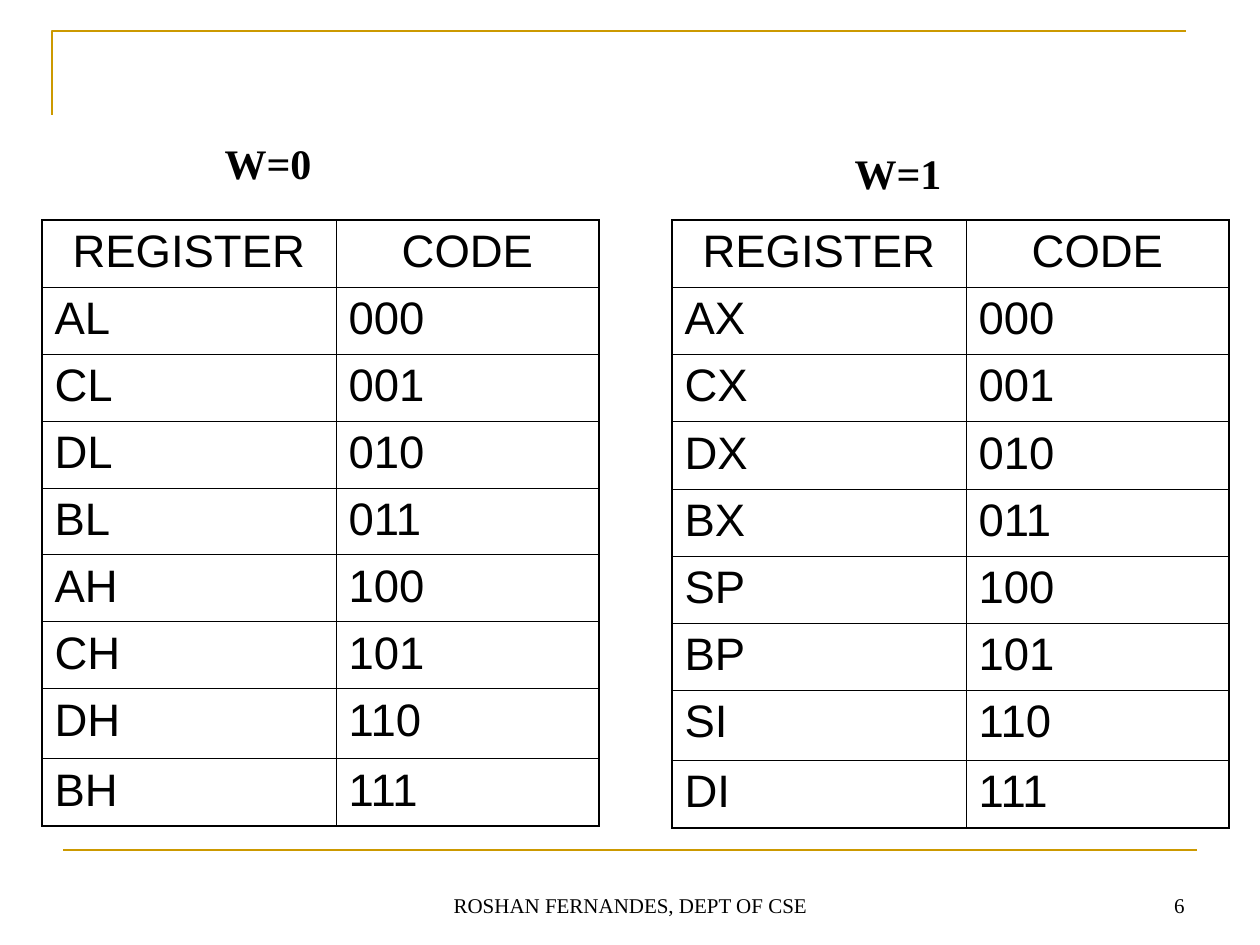
from lxml import etree
from pptx import Presentation
from pptx import util as u
from pptx.dml.color import RGBColor
from pptx.enum import shapes, text
from pptx.oxml.ns import qn

# Content
HEADER = ("REGISTER", "CODE")
CODES = [format(number, "03b") for number in range(8)]
REGISTER_SETS = [
    # left, label, label top, registers
    (42, "W=0", 126, ["AL", "CL", "DL", "BL", "AH", "CH", "DH", "BH"]),
    (672, "W=1", 136, ["AX", "CX", "DX", "BX", "SP", "BP", "SI", "DI"]),
]
FOOTER = "ROSHAN FERNANDES, DEPT OF CSE"
PAGE = "6"

# Layout in px
WIDTH, HEIGHT = 1260, 945
TABLE_TOP = 220
COLUMNS = (294, 263)
ROWS = [67] * 7 + [70, 67]
GOLD, BLACK = "CC9900", "000000"
SERIF, SANS = "Times New Roman", "Arial"
THICK, THIN = 1.08, 0.45


def px(n):
    return u.Emu(round(n * 914400 / 126))


def color(value):
    return RGBColor.from_string(value)


def write(frame, words, size, font, align, bold=False):
    paragraph = frame.paragraphs[0]
    paragraph.alignment = align
    run = paragraph.add_run()
    run.text = words
    run.font.size = u.Pt(size)
    run.font.name = font
    run.font.bold = bold
    run.font.color.rgb = color(BLACK)


def add_label(slide, box, words, size, align, anchor, bold=False):
    frame = slide.shapes.add_textbox(*map(px, box)).text_frame
    frame.word_wrap = True
    frame.vertical_anchor = anchor
    write(frame, words, size, SERIF, align, bold)


def set_borders(cell, widths):
    properties = cell._tc.get_or_add_tcPr()
    for side, width in zip("LRTB", widths):
        line = etree.SubElement(properties, qn(f"a:ln{side}"), w=str(u.Pt(width)))
        fill = etree.SubElement(line, qn("a:solidFill"))
        etree.SubElement(fill, qn("a:srgbClr"), val=BLACK)


def add_register_table(slide, left, registers):
    rows = [HEADER, *zip(registers, CODES)]
    table = slide.shapes.add_table(
        len(rows), len(COLUMNS), px(left), px(TABLE_TOP),
        px(sum(COLUMNS)), px(sum(ROWS))).table
    table.first_row = table.horz_banding = False
    for column, width in zip(table.columns, COLUMNS):
        column.width = px(width)
    for row, height in zip(table.rows, ROWS):
        row.height = px(height)

    last_row, last_column = len(rows) - 1, len(COLUMNS) - 1
    for r, row in enumerate(rows):
        align = text.PP_ALIGN.LEFT if r else text.PP_ALIGN.CENTER
        for c, words in enumerate(row):
            cell = table.cell(r, c)
            outer = (c == 0, c == last_column, r == 0, r == last_row)
            set_borders(cell, [THICK if edge else THIN for edge in outer])
            cell.fill.background()
            write(cell.text_frame, words, 26, SANS, align)


def style_line(shape):
    shape.line.color.rgb = color(GOLD)
    shape.line.width = u.Pt(1.5)


def main():
    deck = Presentation()
    deck.slide_width, deck.slide_height = px(WIDTH), px(HEIGHT)
    slide = deck.slides.add_slide(deck.slide_layouts[6])

    # Gold corner and bottom rule
    builder = slide.shapes.build_freeform(px(52), px(115), scale=1.0)
    builder.add_line_segments([(px(52), px(31)), (px(1186), px(31))], close=False)
    corner = builder.convert_to_shape()
    corner.shadow.inherit = False
    corner.fill.background()
    style_line(corner)

    rule = slide.shapes.add_connector(
        shapes.MSO_CONNECTOR.STRAIGHT, px(63), px(850), px(1197), px(850))
    etree.SubElement(rule._element.spPr, qn("a:effectLst"))
    style_line(rule)

    # Register tables with their labels
    for left, label, label_top, registers in REGISTER_SETS:
        add_register_table(slide, left, registers)
        add_label(slide, (left + 21, label_top, 410, 74), label, 24,
                  text.PP_ALIGN.CENTER, text.MSO_ANCHOR.MIDDLE, bold=True)

    # Footer and page number
    add_label(slide, (431, 861, 399, 63), FOOTER, 12,
              text.PP_ALIGN.CENTER, text.MSO_ANCHOR.BOTTOM)
    add_label(slide, (903, 861, 294, 63), PAGE, 12,
              text.PP_ALIGN.RIGHT, text.MSO_ANCHOR.BOTTOM)

    deck.save("out.pptx")


if __name__ == "__main__":
    main()
